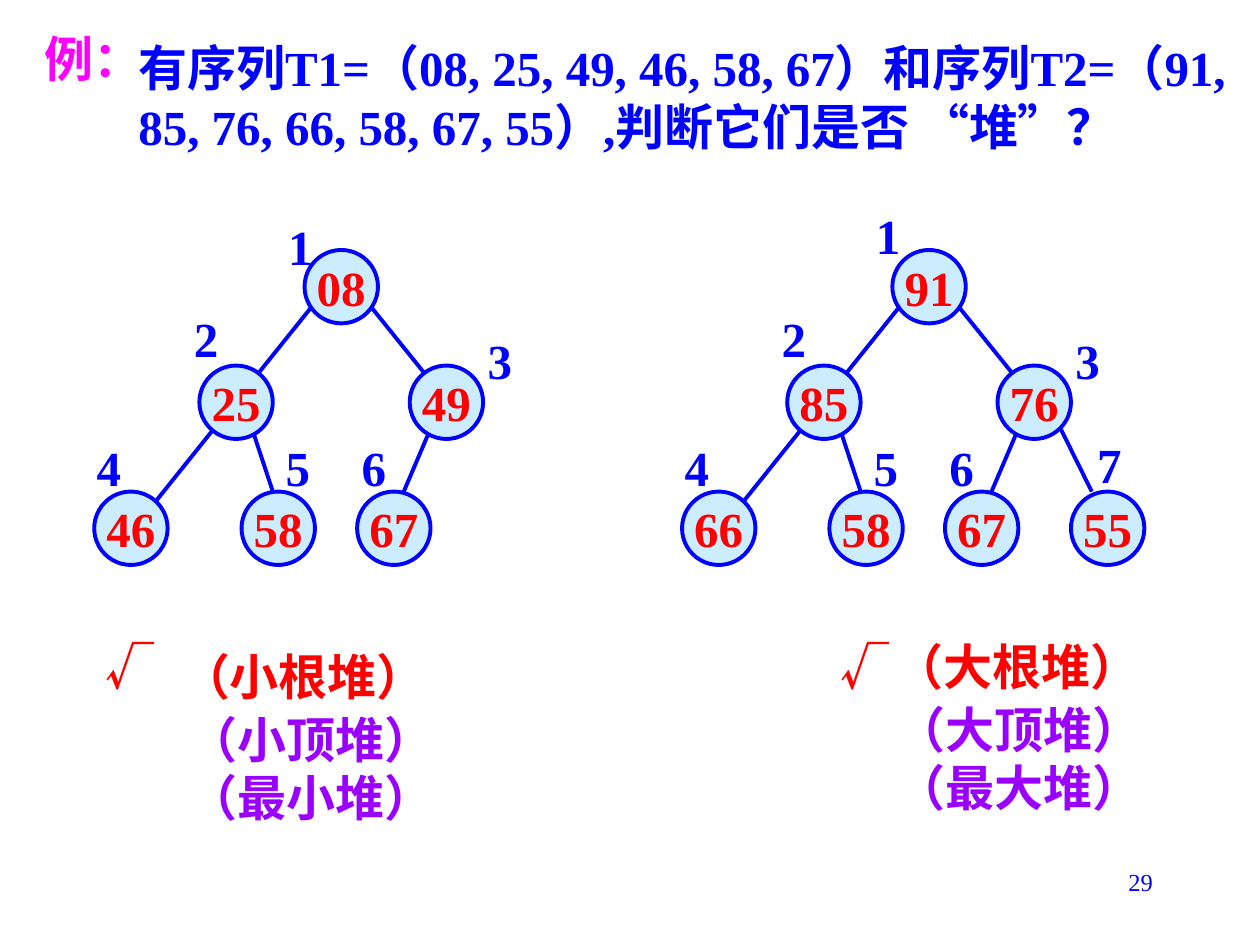
"""Build a slide that checks whether two sequences are heaps."""
from lxml.etree import SubElement
from pptx import Presentation
from pptx.dml.color import RGBColor
from pptx.enum.shapes import MSO_CONNECTOR, MSO_SHAPE
from pptx.enum.text import MSO_ANCHOR, MSO_AUTO_SIZE, PP_ALIGN
from pptx.oxml.ns import qn
from pptx.util import Cm, Pt

BLUE = RGBColor(0x00, 0x00, 0xFF)
RED = RGBColor(0xFF, 0x00, 0x00)
PURPLE = RGBColor(0x99, 0x00, 0xFF)
MAGENTA = RGBColor(0xFF, 0x00, 0xFF)
PALE_BLUE = RGBColor(0xCC, 0xEC, 0xFF)
SERIF = "Times New Roman"
SANS = "Noto Sans CJK SC"

NODES = [(6.14, 5.04), (4.02, 7.37), (8.26, 7.37),
         (1.9, 9.91), (4.87, 9.91), (7.2, 9.91), (9.74, 9.91)]
INDEXES = [(5.56, 4.24), (3.66, 6.1), (9.58, 6.53),
           (1.7, 8.69), (5.51, 8.69), (7.04, 8.69), (10.02, 8.64)]
EDGES = [(3, 7.41, 6.1, 9.1, 8.2), (4, 6.35, 6.1, 2.96, 10.33),
         (5, 5.08, 8.64, 5.5, 9.91), (6, 8.68, 8.64, 8.05, 10.12),
         (7, 9.53, 8.64, 10.16, 9.91)]
TREE_STEP = 11.85


class HeapSlide:
    """Hold the style and the current slide."""

    size = 28
    line_width = Pt(2.25)
    diameter = Cm(1.48)

    def __init__(self, prs):
        self.slide = prs.slides.add_slide(prs.slide_layouts[5])
        self.shapes = self.slide.shapes

    def add_lines(self, tf, lines, color, font=SERIF, size=size, bold=True,
                  align=PP_ALIGN.LEFT):
        for i, line in enumerate(lines):
            p = tf.add_paragraph() if i else tf.paragraphs[0]
            p.alignment = align
            r = p.add_run()
            r.text = line
            r.font.name = font
            r.font.size = Pt(size)
            r.font.bold = bold
            r.font.color.rgb = color
            SubElement(r.font._element, qn("a:ea")).set("typeface", SANS)

    def title(self, text, x, y, w, h):
        sp = self.slide.shapes.title
        sp.left, sp.top, sp.width, sp.height = Cm(x), Cm(y), Cm(w), Cm(h)
        tf = sp.text_frame
        tf.vertical_anchor = MSO_ANCHOR.MIDDLE
        tf.auto_size = MSO_AUTO_SIZE.NONE
        self.add_lines(tf, [text], MAGENTA)

    def text(self, lines, x, y, w, h, color, wrap=False, **style):
        sp = self.shapes.add_textbox(Cm(x), Cm(y), Cm(w), Cm(h))
        sp.text_frame.word_wrap = wrap
        self.add_lines(sp.text_frame, lines, color, **style)

    def edge(self, x1, y1, x2, y2):
        line = self.shapes.add_connector(
            MSO_CONNECTOR.STRAIGHT, Cm(x1), Cm(y1), Cm(x2), Cm(y2))
        line.line.color.rgb = BLUE
        line.line.width = self.line_width
        SubElement(line._element.spPr, qn("a:effectLst"))

    def node(self, value, x, y):
        sp = self.shapes.add_shape(
            MSO_SHAPE.OVAL, Cm(x), Cm(y), self.diameter, self.diameter)
        sp.shadow.inherit = False
        sp.fill.solid()
        sp.fill.fore_color.rgb = PALE_BLUE
        sp.line.color.rgb = BLUE
        sp.line.width = self.line_width
        tf = sp.text_frame
        tf.word_wrap = False
        tf.vertical_anchor = MSO_ANCHOR.MIDDLE
        self.add_lines(tf, [value], RED, align=PP_ALIGN.CENTER)

    def tree(self, values, dx, root_index_y):
        self.shapes = self.slide.shapes.add_group_shape().shapes
        for child, x1, y1, x2, y2 in EDGES:
            if child <= len(values):
                self.edge(x1 + dx, y1, x2 + dx, y2)
        for value, (x, y) in zip(values, NODES):
            self.node(value, x + dx, y)
        for i, (x, y) in enumerate(INDEXES[:len(values)], 1):
            self.text([str(i)], x + dx, root_index_y if i == 1 else y,
                      0.99, 1.45, BLUE)
        self.shapes = self.slide.shapes


def main():
    prs = Presentation()
    prs.slide_width, prs.slide_height = Cm(25.4), Cm(19.05)
    s = HeapSlide(prs)
    s.title("例：", 0.64, 0.64, 2.97, 1.07)
    s.text(["有序列T1=（08, 25, 49, 46, 58, 67）和序列T2="
            "（91, 85, 76, 66, 58, 67, 55）,判断它们是否 “堆”？"],
           2.54, 0.64, 22.43, 3.81, BLUE, wrap=True)
    s.tree(["08", "25", "49", "46", "58", "67"], 0, 4.24)
    s.tree(["91", "85", "76", "66", "58", "67", "55"], TREE_STEP, 4.02)
    for x in (1.88, 16.69):
        s.text(["√"], x, 12.7, 1.17, 1.45, RED, font=SANS)
    s.text(["（小根堆）"], 3.4, 12.9, 5.44, 1.45, RED, font=SANS)
    s.text(["（大根堆）"], 17.78, 12.7, 5.92, 1.45, RED, wrap=True, font=SANS)
    s.text(["（小顶堆）", "（最小堆）"], 3.56, 14.17, 5.66, 2.64, PURPLE, font=SANS)
    s.text(["（大顶堆）", "（最大堆）"], 17.83, 13.97, 5.44, 2.64, PURPLE, font=SANS)
    s.text(["29"], 18.21, 17.35, 5.28, 1.27, BLUE, wrap=True,
           size=14, bold=False, align=PP_ALIGN.RIGHT)
    prs.save("out.pptx")


if __name__ == "__main__":
    main()
